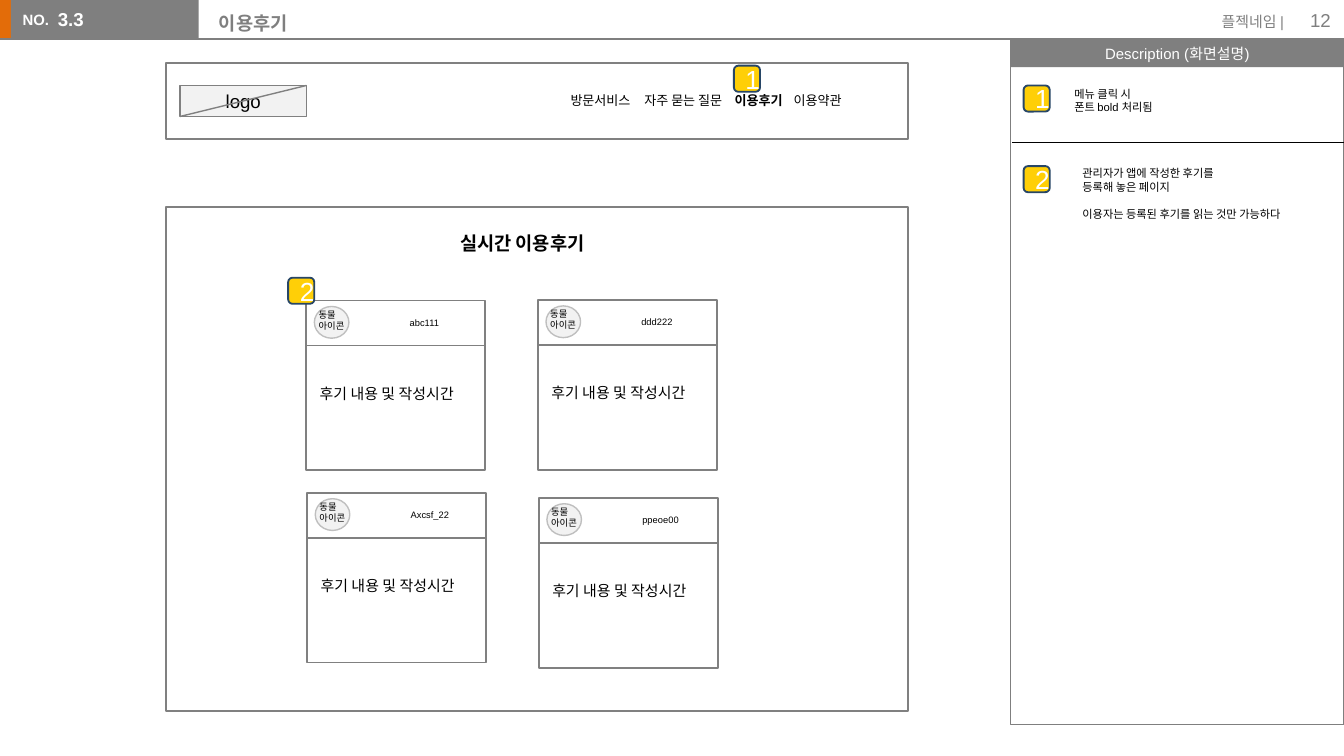
import pptx
import pptx.util
import pptx.dml.color
import pptx.enum.shapes
import pptx.enum.text
import lxml.etree

Pt = pptx.util.Pt
SHAPE = pptx.enum.shapes.MSO_SHAPE
ALIGN = pptx.enum.text.PP_ALIGN
ANCHOR = pptx.enum.text.MSO_ANCHOR
FIT = pptx.enum.text.MSO_AUTO_SIZE

FRAME, WIRE, PALE = "7F7F7F", "808080", "F2F2F2"
WHITE, BLACK = "FFFFFF", "000000"


def color(value):
    return pptx.dml.color.RGBColor.from_string(value)


def add_box(shapes, kind, x, y, w, h, fill=None, line=None, weight=1):
    box = shapes.add_shape(kind, Pt(x), Pt(y), Pt(w), Pt(h))
    box.shadow.inherit = False
    if fill:
        box.fill.solid()
        box.fill.fore_color.rgb = color(fill)
    else:
        box.fill.background()
    if line:
        box.line.color.rgb = color(line)
        box.line.width = Pt(weight)
    else:
        box.line.fill.background()
    return box


def add_line(shapes, x1, y1, x2, y2, line=WIRE, weight=0.75):
    rule = shapes.add_connector(pptx.enum.shapes.MSO_CONNECTOR.STRAIGHT,
                                Pt(x1), Pt(y1), Pt(x2), Pt(y2))
    rule.line.color.rgb = color(line)
    rule.line.width = Pt(weight)
    properties = rule.element.spPr
    lxml.etree.SubElement(properties, pptx.oxml.ns.qn("a:effectLst"))


def write(holder, lines, size, ink=BLACK, bold=False, align=ALIGN.LEFT,
          anchor=ANCHOR.TOP, wrap=True, margins=(7.2, 3.6)):
    frame = holder.text_frame
    frame.word_wrap = wrap
    frame.vertical_anchor = anchor
    frame.margin_left = frame.margin_right = Pt(margins[0])
    frame.margin_top = frame.margin_bottom = Pt(margins[1])
    for index, line in enumerate(lines):
        paragraph = frame.paragraphs[0] if index == 0 else frame.add_paragraph()
        paragraph.text = line
        paragraph.alignment = align
        paragraph.font.name = "Arial"
        paragraph.font.size = Pt(size)
        paragraph.font.bold = bold
        paragraph.font.color.rgb = color(ink)
    return frame


def add_text(shapes, x, y, w, h, lines, size, grow=False, **style):
    holder = shapes.add_textbox(Pt(x), Pt(y), Pt(w), Pt(h))
    frame = write(holder, lines, size, **style)
    frame.auto_size = FIT.SHAPE_TO_FIT_TEXT if grow else FIT.NONE
    return frame


def add_badge(shapes, x, y, number):
    badge = add_box(shapes, SHAPE.ROUNDED_RECTANGLE, x, y, 14, 14, "FFCF07", "274666")
    write(badge, [number], 14, WHITE, align=ALIGN.CENTER, anchor=ANCHOR.MIDDLE)


def add_header(shapes, x, y, number, title, project, page):
    # Number tab
    add_box(shapes, SHAPE.RECTANGLE, x - 0.7, y, 8.6, 20.9, "E36C09")
    add_box(shapes, SHAPE.RECTANGLE, x + 5.8, y, 100.6, 20.9, FRAME)
    add_text(shapes, x + 5, y + 2.2, 29.5, 17.3, ["NO."], 8, ink=WHITE, bold=True)
    add_line(shapes, x, y + 20.9, x + 551.5, y + 20.9, FRAME)
    # Titles and page number
    add_text(shapes, x + 644, y + 3.2, 51, 17.3, [project], 8, ink=FRAME,
             align=ALIGN.RIGHT, wrap=False)
    add_text(shapes, x + 676.8, y, 43.2, 21.6, [page], 10, ink=FRAME,
             align=ALIGN.RIGHT, anchor=ANCHOR.MIDDLE)
    add_text(shapes, x + 110.2, y - 0.7, 404, 23, [title], 10, ink=FRAME, bold=True,
             margins=(7.2, 7.2))
    add_text(shapes, x + 31, y + 0.7, 79.2, 22.3, [number], 10, ink=WHITE, bold=True,
             margins=(0, 3.6))


def add_description(shapes, x, y, w, h):
    heading = add_box(shapes, SHAPE.RECTANGLE, x, y, w, 15.1, FRAME)
    write(heading, ["Description (화면설명)"], 8, WHITE, align=ALIGN.CENTER,
          anchor=ANCHOR.MIDDLE, margins=(6.5, 2.9))
    add_box(shapes, SHAPE.RECTANGLE, x, y, w, h, line=FRAME, weight=0.75)
    # Note 1
    add_badge(shapes, x + 7, y + 24.9, "1")
    add_text(shapes, x + 27.1, y + 22.3, 131.8, 21.6,
             ["메뉴 클릭 시", "폰트 bold 처리됨"], 6, grow=True)
    add_line(shapes, x + 0.7, y + 55.4, x + w, y + 55.4, BLACK, 0.25)
    # Note 2
    add_badge(shapes, x + 7, y + 68.1, "2")
    note = add_text(shapes, x + 31.4, y + 64.8, 131.8, 36,
                    ["관리자가 앱에 작성한 후기를", "등록해 놓은 페이지",
                     "이용자는 등록된 후기를 읽는 것만 가능하다"], 6, grow=True)
    note.paragraphs[2].space_before = Pt(7.2)


def add_menu_bar(shapes, x, y, w, h, current):
    add_box(shapes, SHAPE.RECTANGLE, x, y, w, h, line=WIRE)
    logo = add_box(shapes, SHAPE.RECTANGLE, x + 7.5, y + 12, 67.7, 16.6, PALE, WIRE, 0.75)
    write(logo, ["logo"], 10, align=ALIGN.CENTER, anchor=ANCHOR.MIDDLE)
    add_line(shapes, x + 7.5, y + 28.6, x + 75.2, y + 12)
    # Menu entries: offset, width, label
    for offset, width, label in ((209.6, 46.6, "방문서비스"), (249.2, 56.7, "자주 묻는 질문"),
                                 (297.5, 40.1, "이용후기"), (329.1, 40.1, "이용약관")):
        add_text(shapes, x + offset, y + 12.2, width, 15.8, [label], 7, grow=True,
                 bold=label == current, wrap=False)
    add_badge(shapes, x + 304.2, y + 1.4, "1")


def add_review(shapes, x, y, author):
    card = shapes.add_group_shape().shapes
    add_box(card, SHAPE.RECTANGLE, x, y, 96, 91, WHITE, WIRE)
    add_line(card, x, y + 24.2, x + 96, y + 24.2)
    add_box(card, SHAPE.OVAL, x + 4.4, y + 3.2, 18.5, 17, PALE, "BFBFBF", 0.75)
    add_text(card, x - 0.4, y + 0.9, 31, 19.4, ["동물", "아이콘"], 5, grow=True)
    add_text(card, x + 48.4, y + 5.2, 54.7, 13.7, [author], 5, grow=True)
    add_text(card, x + 0.2, y + 41.4, 100, 17.3, ["후기 내용 및 작성시간"], 8, grow=True)


def add_reviews(shapes, x, y, w, h):
    add_box(shapes, SHAPE.RECTANGLE, x, y, w, h, line=WIRE)
    add_text(shapes, x + 150.5, y + 10, 87.1, 19.4, ["실시간 이용후기"], 10, grow=True,
             bold=True, wrap=False)
    for left, top, author in ((75, 50.1, "abc111"), (199.1, 49.8, "ddd222"),
                              (75.5, 153.1, "Axcsf_22"), (199.6, 155.8, "ppeoe00")):
        add_review(shapes, x + left, y + top, author)
    add_badge(shapes, x + 65.4, y + 37.9, "2")


deck = pptx.Presentation()
deck.slide_width, deck.slide_height = Pt(720), Pt(405)
screen = deck.slides.add_slide(deck.slide_layouts[6]).shapes

add_description(screen, 541.4, 20.9, 178.6, 367.4)
add_header(screen, 0, 0, "3.3", "이용후기", "플젝네임 |", "12")
add_menu_bar(screen, 89, 33.8, 397.5, 40.6, "이용후기")
add_reviews(screen, 89, 110.9, 397.5, 270)

deck.save("out.pptx")
